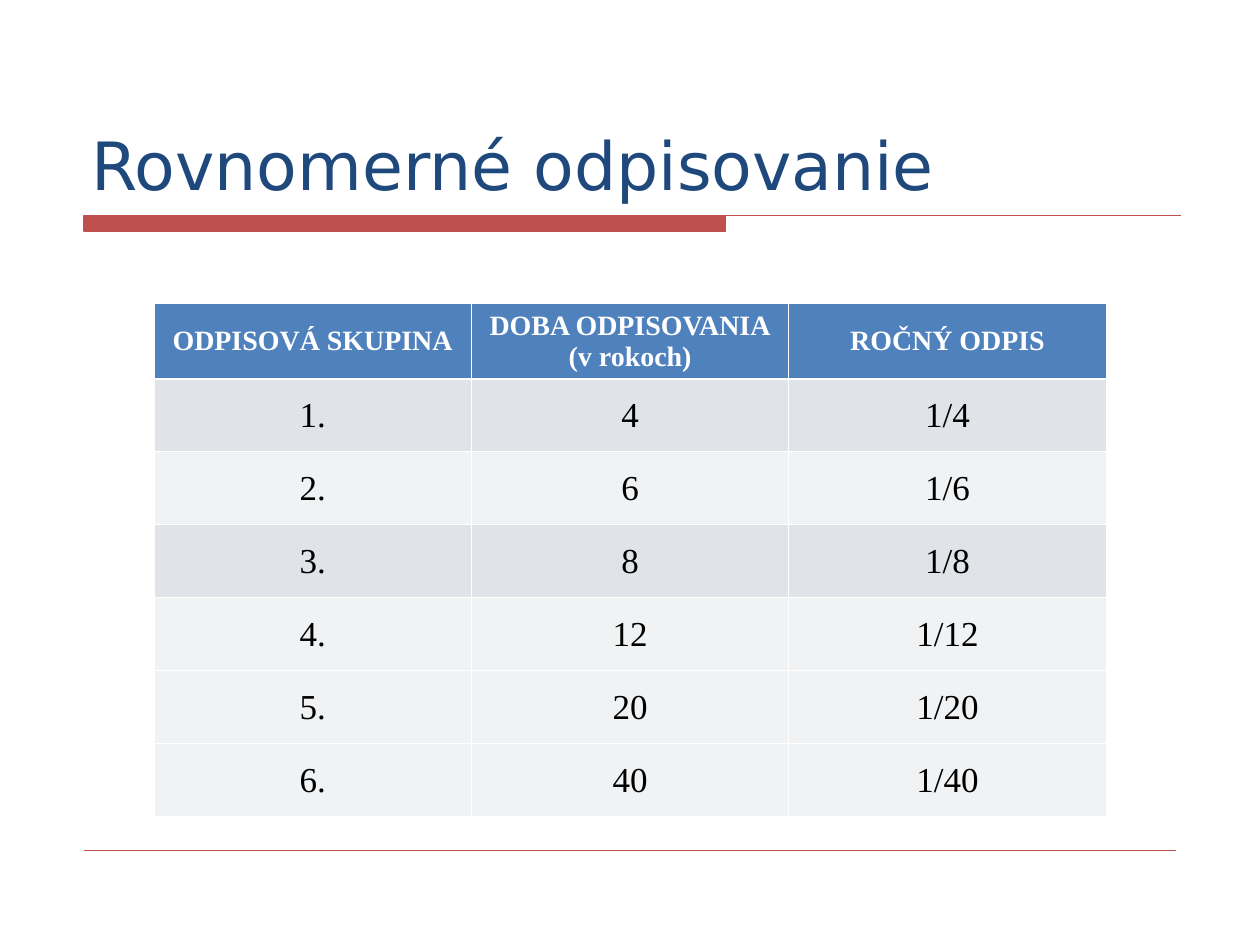
from lxml import etree
from pptx import Presentation
from pptx.dml.color import RGBColor
from pptx.enum import shapes, text
from pptx.oxml import ns
from pptx.util import Pt

TITLE = "Rovnomerné odpisovanie"
HEADER = [["ODPISOVÁ SKUPINA"], ["DOBA ODPISOVANIA", "(v rokoch)"], ["ROČNÝ ODPIS"]]
YEARS = [4, 6, 8, 12, 20, 40]
DARK_GROUPS = (1, 3)
COLORS = {"title": "1F497D", "accent": "C0504D", "header": "4F81BD", "dark": "E0E4E9",
          "light": "F0F2F4", "white": "FFFFFF", "black": "000000"}
LEFT, RULE_TOP, RULE_RIGHT = 48, 123.2, 674.8
BAR_RIGHT, BAR_BOTTOM = 414.5, 132
FOOT_RIGHT, FOOT_TOP = 672, 486
TABLE_LEFT, TABLE_TOP, COLUMN = 88, 173.6, 181.4
HEADER_HEIGHT, ROW_HEIGHT = 42.7, 41.75
THIN, THICK = 0.45, 1.47


def color(key):
    return RGBColor.from_string(COLORS[key])


def add_text(paragraph, words, font, size, key, bold=False):
    run = paragraph.add_run()
    run.text = words
    run.font.name, run.font.size, run.font.bold = font, Pt(size), bold
    run.font.color.rgb = color(key)


def add_borders(cell, widths):
    properties = cell._tc.get_or_add_tcPr()
    for place, (side, width) in enumerate(zip("LRTB", widths)):
        border = etree.Element(ns.qn(f"a:ln{side}"), w=str(int(Pt(width))))
        fill = etree.SubElement(border, ns.qn("a:solidFill"))
        etree.SubElement(fill, ns.qn("a:srgbClr"), val=COLORS["white"])
        properties.insert(place, border)


def fill_cell(cell, lines, fill, size, key, bold):
    cell.fill.solid()
    cell.fill.fore_color.rgb = color(fill)
    cell.vertical_anchor = text.MSO_ANCHOR.MIDDLE
    cell.margin_left = cell.margin_right = Pt(0.75)
    cell.margin_top = cell.margin_bottom = Pt(3.6)
    for index, line in enumerate(lines):
        frame = cell.text_frame
        paragraph = frame.add_paragraph() if index else frame.paragraphs[0]
        paragraph.alignment = text.PP_ALIGN.CENTER
        add_text(paragraph, line, "Times New Roman", size, key, bold)


def add_rules(slide):
    builder = slide.shapes.build_freeform(Pt(LEFT), Pt(RULE_TOP))
    corners = [(BAR_RIGHT, RULE_TOP), (BAR_RIGHT, BAR_BOTTOM), (LEFT, BAR_BOTTOM)]
    builder.add_line_segments([(Pt(x), Pt(y)) for x, y in corners], close=True)
    builder.move_to(Pt(LEFT), Pt(RULE_TOP))
    builder.add_line_segments([(Pt(RULE_RIGHT), Pt(RULE_TOP))], close=False)
    bar = builder.convert_to_shape()
    bar.shadow.inherit = False
    bar.fill.solid()
    bar.fill.fore_color.rgb = color("accent")
    foot = slide.shapes.add_connector(shapes.MSO_CONNECTOR.STRAIGHT, Pt(LEFT), Pt(FOOT_TOP),
                                      Pt(FOOT_RIGHT), Pt(FOOT_TOP))
    for rule, width in ((bar, 0.75), (foot, 0.25)):
        rule.line.color.rgb = color("accent")
        rule.line.width = Pt(width)
    etree.SubElement(foot._element.spPr, ns.qn("a:effectLst"))


def add_title(slide):
    title = slide.shapes.title
    title.left, title.top, title.width, title.height = Pt(45), Pt(24), Pt(630), Pt(96)
    title.text_frame.vertical_anchor = text.MSO_ANCHOR.BOTTOM
    paragraph = title.text_frame.paragraphs[0]
    paragraph.alignment = text.PP_ALIGN.LEFT
    add_text(paragraph, TITLE, "DejaVu Sans", 38, "title")


def add_depreciation_table(slide):
    groups = [[[f"{group}."], [str(years)], [f"1/{years}"]]
              for group, years in enumerate(YEARS, 1)]
    rows = [HEADER] + groups
    heights = [HEADER_HEIGHT] + [ROW_HEIGHT] * len(groups)
    table = slide.shapes.add_table(len(rows), len(HEADER), Pt(TABLE_LEFT), Pt(TABLE_TOP),
                                   Pt(COLUMN * len(HEADER)), Pt(sum(heights))).table
    for column in table.columns:
        column.width = Pt(COLUMN)
    for row, (entries, height) in enumerate(zip(rows, heights)):
        table.rows[row].height = Pt(height)
        fill = "dark" if row in DARK_GROUPS else "light"
        style = (fill, 20, "black", False) if row else ("header", 16, "white", True)
        top = THICK if row == 1 else THIN
        bottom = THIN if row else THICK
        for column, lines in enumerate(entries):
            cell = table.cell(row, column)
            fill_cell(cell, lines, *style)
            add_borders(cell, (THIN, THIN, top, bottom))


def main():
    deck = Presentation()
    deck.slide_width, deck.slide_height = Pt(720), Pt(540)
    slide = deck.slides.add_slide(deck.slide_layouts[5])
    add_rules(slide)
    add_title(slide)
    add_depreciation_table(slide)
    deck.save("out.pptx")


if __name__ == "__main__":
    main()
